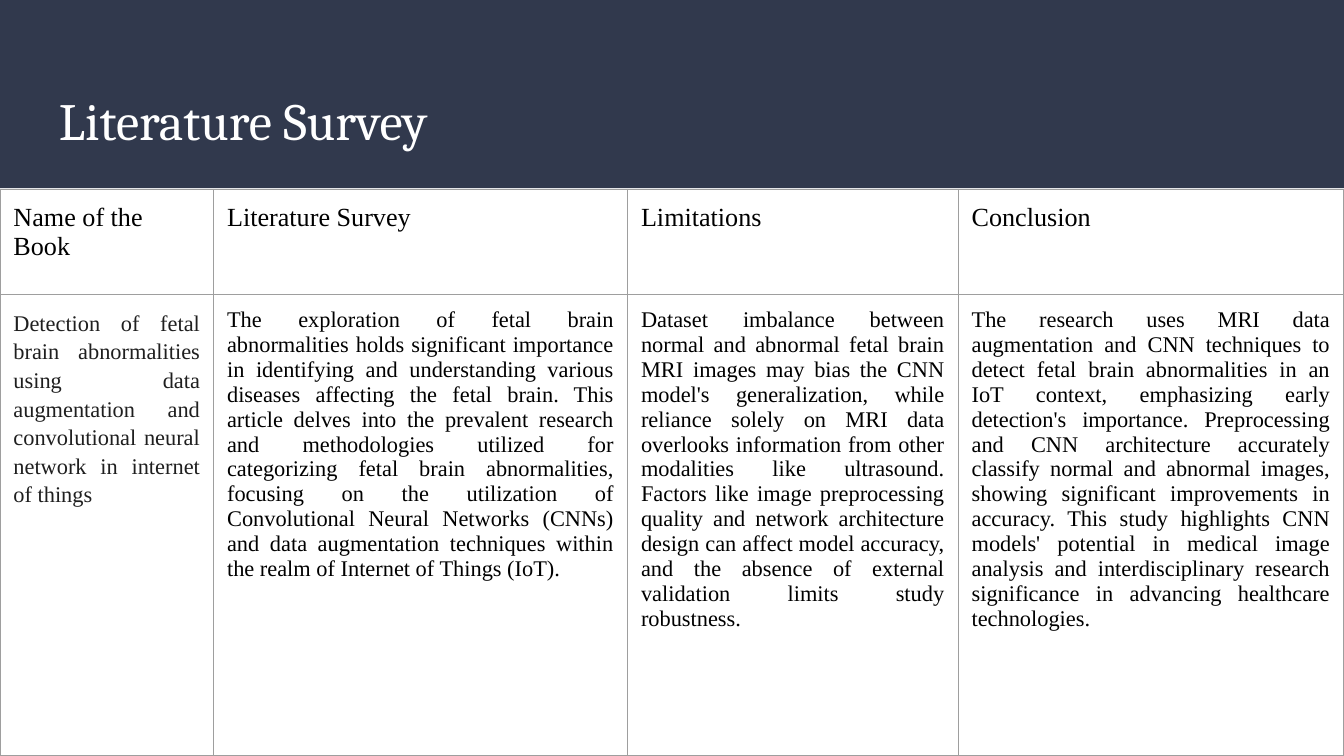
from lxml import etree
from pptx import Presentation
from pptx.dml.color import RGBColor
from pptx.enum.shapes import MSO_SHAPE
from pptx.enum.text import MSO_ANCHOR, PP_ALIGN
from pptx.oxml.ns import qn
from pptx.util import Inches, Pt

NAVY = RGBColor(0x31, 0x39, 0x4D)
WHITE = RGBColor(0xFF, 0xFF, 0xFF)
BLACK = RGBColor(0x00, 0x00, 0x00)
CHARCOAL = RGBColor(0x1F, 0x1F, 0x1F)
GREY = RGBColor(0x9E, 0x9E, 0x9E)

SLIDE_W = 10
SLIDE_H = SLIDE_W * 9 / 16
BANNER_H, TABLE_TOP = 1.4, 1.41
MARGIN = Inches(0.1)
COL_WIDTHS = [1.59, 3.08, 2.46, 2.87]
ROW_HEIGHTS = [0.78, 3.43]

HEADINGS = ["Name of the Book", "Literature Survey", "Limitations", "Conclusion"]
ENTRY = [
    "Detection of fetal brain abnormalities using data augmentation and "
    "convolutional neural network in internet of things",
    "The exploration of fetal brain abnormalities holds significant importance in "
    "identifying and understanding various diseases affecting the fetal brain. This "
    "article delves into the prevalent research and methodologies utilized for "
    "categorizing fetal brain abnormalities, focusing on the utilization of "
    "Convolutional Neural Networks (CNNs) and data augmentation techniques within "
    "the realm of Internet of Things (IoT).",
    "Dataset imbalance between normal and abnormal fetal brain MRI images may bias "
    "the CNN model's generalization, while reliance solely on MRI data overlooks "
    "information from other modalities like ultrasound. Factors like image "
    "preprocessing quality and network architecture design can affect model "
    "accuracy, and the absence of external validation limits study robustness.",
    "The research uses MRI data augmentation and CNN techniques to detect fetal "
    "brain abnormalities in an IoT context, emphasizing early detection's "
    "importance. Preprocessing and CNN architecture accurately classify normal and "
    "abnormal images, showing significant improvements in accuracy. This study "
    "highlights CNN models' potential in medical image analysis and "
    "interdisciplinary research significance in advancing healthcare technologies.",
]


def set_margins(box):
    box.margin_left = box.margin_right = MARGIN
    box.margin_top = box.margin_bottom = MARGIN


def add_run(p, text, font, size, color):
    r = p.add_run()
    r.text = text
    r.font.name = font
    r.font.size = Pt(size)
    r.font.color.rgb = color


def add_banner(slide, x, y, w, h):
    sp = slide.shapes.add_shape(
        MSO_SHAPE.RECTANGLE, Inches(x), Inches(y), Inches(w), Inches(h))
    sp.shadow.inherit = False
    sp.fill.solid()
    sp.fill.fore_color.rgb = NAVY
    sp.line.fill.background()

    title = slide.shapes.add_textbox(
        Inches(x + 0.34), Inches(y + 0.55), Inches(w - 0.68), Inches(0.68))
    tf = title.text_frame
    tf.word_wrap = True
    tf.vertical_anchor = MSO_ANCHOR.MIDDLE
    set_margins(tf)
    add_run(tf.paragraphs[0], "Literature Survey", "Cambria", 28, WHITE)


def set_borders(cell):
    tc_pr = cell._tc.get_or_add_tcPr()
    for side in ("lnL", "lnR", "lnT", "lnB"):
        ln = etree.SubElement(tc_pr, qn(f"a:{side}"), w=str(Pt(0.75)))
        fill = etree.SubElement(ln, qn("a:solidFill"))
        etree.SubElement(fill, qn("a:srgbClr"), val=str(GREY))


def fill_cell(cell, text, size, color):
    """Style one cell, write its text and return the paragraph."""
    set_margins(cell)
    set_borders(cell)
    cell.fill.background()
    p = cell.text_frame.paragraphs[0]
    add_run(p, text, "Times New Roman", size, color)
    return p


def add_survey_table(slide, x, y, col_widths, row_heights):
    table = slide.shapes.add_table(
        len(row_heights), len(col_widths), Inches(x), Inches(y),
        Inches(sum(col_widths)), Inches(sum(row_heights))).table
    table.first_row = table.horz_banding = False
    for column, width in zip(table.columns, col_widths):
        column.width = Inches(width)
    for row, height in zip(table.rows, row_heights):
        row.height = Inches(height)

    for i, (heading, body) in enumerate(zip(HEADINGS, ENTRY)):
        fill_cell(table.cell(0, i), heading, 14, BLACK)
        p = fill_cell(table.cell(1, i), body, 12, BLACK if i else CHARCOAL)
        p.alignment = PP_ALIGN.JUSTIFY
        if i == 0:
            p.line_spacing = 1.15
            p.space_before = Pt(12)


def main():
    prs = Presentation()
    prs.slide_width, prs.slide_height = Inches(SLIDE_W), Inches(SLIDE_H)
    slide = prs.slides.add_slide(prs.slide_layouts[6])
    add_banner(slide, 0, 0, SLIDE_W, BANNER_H)
    add_survey_table(slide, 0, TABLE_TOP, COL_WIDTHS, ROW_HEIGHTS)
    prs.save("out.pptx")


if __name__ == "__main__":
    main()
